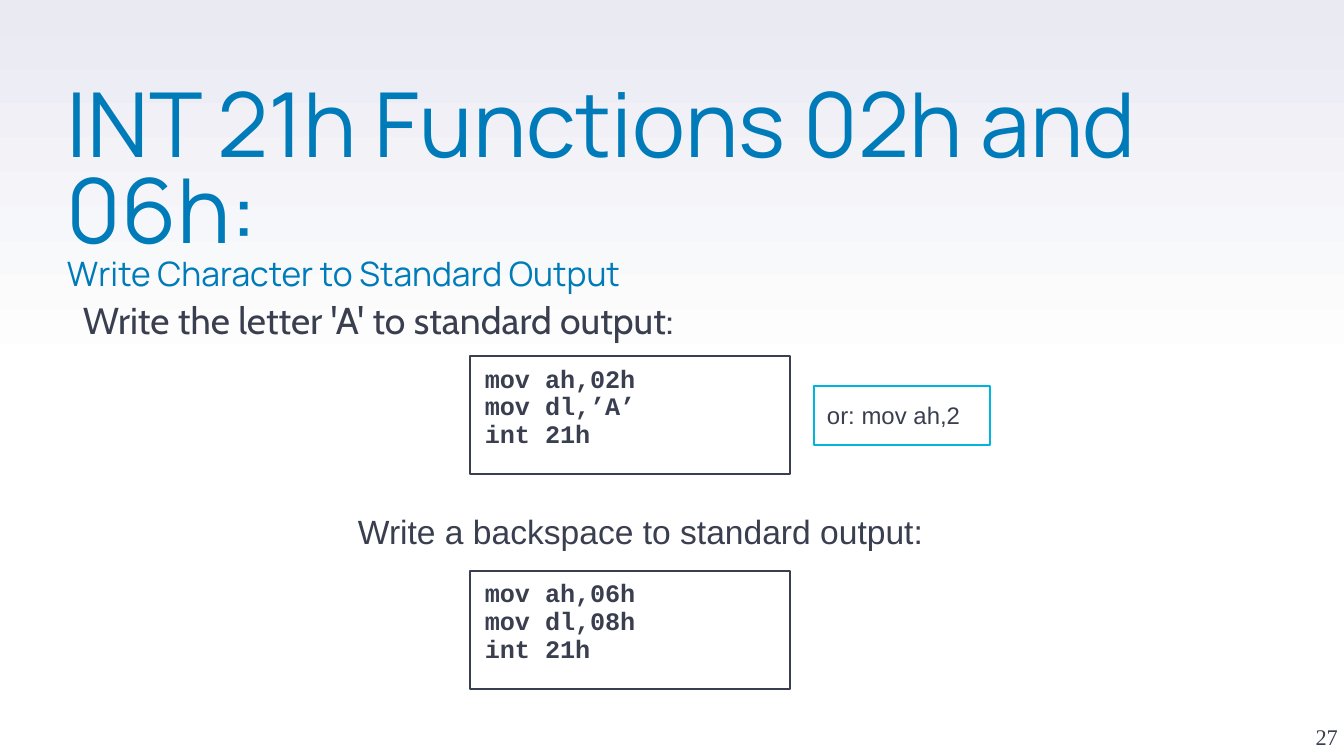
from dataclasses import dataclass
from typing import Optional

from pptx import Presentation
from pptx import util as u
from pptx.dml.color import RGBColor
from pptx.enum import shapes, text
from pptx.oxml import ns
from lxml import etree

PX = 914400 / 134.4  # EMU in one px
WHITE = RGBColor(0xFF, 0xFF, 0xFF)
LAVENDER = RGBColor(0xE9, 0xEA, 0xF2)
BLUE = RGBColor(0x00, 0x7B, 0xB9)
CYAN = RGBColor(0x00, 0xB5, 0xDD)
INK = RGBColor(0x3A, 0x3F, 0x50)


@dataclass(frozen=True)
class Block:
    """A text block; lengths in px, type sizes in points."""
    left: int
    top: int
    width: int
    height: int
    words: str
    font: str
    size: float
    bold: bool = False
    outline: Optional[RGBColor] = None
    inset_x: int = 0
    inset_y: int = 0
    margin: int = 0
    hanging: int = 0
    line_spacing: Optional[float] = None
    before_pt: Optional[int] = None
    before_percent: Optional[int] = None
    align: text.PP_ALIGN = text.PP_ALIGN.LEFT
    anchor: text.MSO_ANCHOR = text.MSO_ANCHOR.TOP
    grow: bool = False


def px(length: int) -> u.Emu:
    return u.Emu(round(length * PX))


def place(shape, left: int, top: int, width: int, height: int) -> None:
    shape.left, shape.top = px(left), px(top)
    shape.width, shape.height = px(width), px(height)


def set_frame(frame, inset_x: int, inset_y: int, anchor: text.MSO_ANCHOR) -> None:
    frame.word_wrap = True
    frame.auto_size = text.MSO_AUTO_SIZE.NONE
    frame.vertical_anchor = anchor
    frame.margin_left = frame.margin_right = px(inset_x)
    frame.margin_top = frame.margin_bottom = px(inset_y)


def set_font(span, name: str, size: float, color: RGBColor, bold: bool = False) -> None:
    span.font.name, span.font.size = name, u.Pt(size)
    span.font.color.rgb, span.font.bold = color, bold


def set_spacing(para, block: Block) -> None:
    para.alignment = block.align
    if block.line_spacing:
        para.line_spacing = block.line_spacing
    props = para._p.get_or_add_pPr()
    props.set("marL", str(px(block.margin)))
    props.set("indent", str(-px(block.hanging)))
    if block.before_pt is not None:
        para.space_before = u.Pt(block.before_pt)
    elif block.before_percent:
        # Space before as a share of the line, which needs XML
        para.space_before = u.Pt(0)
        before = props.find(ns.qn("a:spcBef"))
        before.remove(before[0])
        share = etree.SubElement(before, ns.qn("a:spcPct"))
        share.set("val", str(block.before_percent * 1000))


def draw_block(page, block: Block) -> None:
    area = [px(n) for n in (block.left, block.top, block.width, block.height)]
    if block.outline is None:
        box = page.shapes.add_textbox(*area)
    else:
        box = page.shapes.add_shape(shapes.MSO_SHAPE.RECTANGLE, *area)
        box.shadow.inherit = False
        box.fill.background()
        box.line.color.rgb = block.outline
        box.line.width = u.Pt(0.75)
    frame = box.text_frame
    set_frame(frame, block.inset_x, block.inset_y, block.anchor)
    if block.grow:
        frame.auto_size = text.MSO_AUTO_SIZE.SHAPE_TO_FIT_TEXT
    frame.text = block.words
    for para in frame.paragraphs:
        set_spacing(para, block)
        for span in para.runs:
            set_font(span, block.font, block.size, INK, block.bold)


def code_box(top: int, words: str) -> Block:
    return Block(470, top, 320, 118, words, "Courier New", 13.5, bold=True,
                 outline=INK, inset_x=15, inset_y=20,
                 line_spacing=0.5, before_percent=50)


def draw_title(page) -> None:
    title = page.shapes.title
    place(title, 67, 89, 1204, 159)
    set_frame(title.text_frame, 0, 0, text.MSO_ANCHOR.TOP)
    para = title.text_frame.paragraphs[0]
    para.text = "INT 21h Functions 02h and 06h: \vWrite Character to Standard Output"
    para.alignment = text.PP_ALIGN.LEFT
    para.line_spacing = 0.8
    for span, size in zip(para.runs, (48, 18)):
        set_font(span, "Manrope", size, BLUE)


BLOCKS = [
    # Heading of the first example
    Block(67, 293, 1204, 394, "Write the letter 'A' to standard output:", "Cabin", 20,
          margin=67, hanging=51, line_spacing=1.1, before_pt=6),
    # Slide number
    Block(1271, 681, 67, 69, "27", "Times New Roman", 12,
          align=text.PP_ALIGN.RIGHT, anchor=text.MSO_ANCHOR.BOTTOM),
    code_box(356, "mov ah,02h\nmov dl,’A’\nint 21h"),
    # Heading of the second example
    Block(345, 504, 714, 227, "Write a backspace to standard output:", "Arial", 18,
          inset_x=13, inset_y=7, margin=51, hanging=51, before_percent=20),
    code_box(571, "mov ah,06h\nmov dl,08h\nint 21h"),
    # Side note
    Block(814, 386, 176, 59, "or: mov ah,2", "Arial", 12.8, outline=CYAN,
          inset_x=13, inset_y=15, before_percent=50, grow=True),
]


def main() -> None:
    deck = Presentation()
    deck.slide_width, deck.slide_height = px(1344), px(756)
    page = deck.slides.add_slide(deck.slide_layouts[5])

    # Background: white, turning lavender in the upper half
    fill = page.background.fill
    fill.gradient()
    fill.gradient_angle = 90
    for stop, position, color in zip(fill.gradient_stops, (0.5, 1), (WHITE, LAVENDER)):
        stop.position = position
        stop.color.rgb = color

    draw_title(page)
    for block in BLOCKS:
        draw_block(page, block)
    deck.save("out.pptx")


if __name__ == "__main__":
    main()
